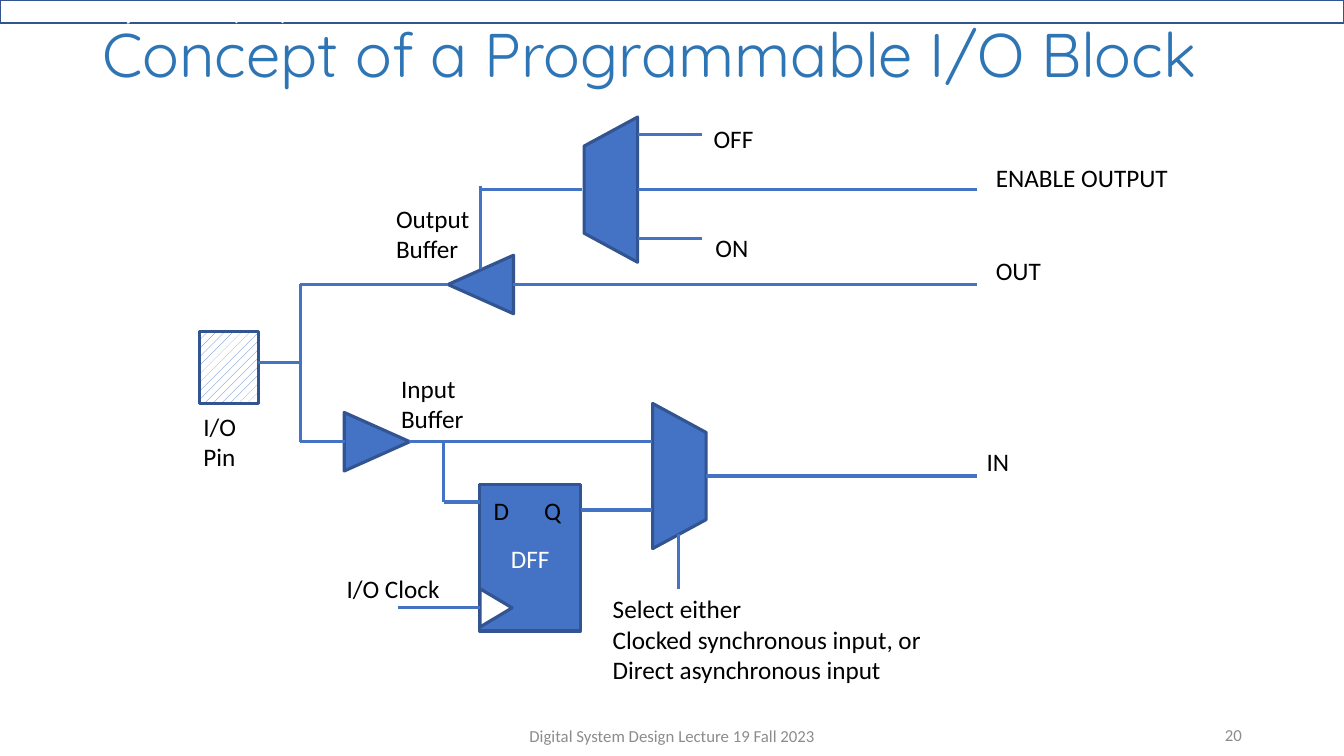
from dataclasses import dataclass

from lxml.etree import SubElement
from pptx import Presentation
from pptx.dml.color import RGBColor
from pptx.enum.dml import MSO_PATTERN
from pptx.enum.shapes import MSO_CONNECTOR, MSO_SHAPE
from pptx.enum.text import MSO_ANCHOR, MSO_AUTO_SIZE, PP_ALIGN
from pptx.oxml.ns import qn
from pptx.util import Pt


@dataclass(frozen=True)
class Theme:
    blue: RGBColor = RGBColor(0x44, 0x72, 0xC4)
    edge: RGBColor = RGBColor(0x32, 0x54, 0x91)
    title: RGBColor = RGBColor(0x2E, 0x75, 0xB6)
    white: RGBColor = RGBColor(0xFF, 0xFF, 0xFF)
    black: RGBColor = RGBColor(0, 0, 0)
    grey: RGBColor = RGBColor(0x8C, 0x8C, 0x8C)
    body_font: str = "Calibri"
    title_font: str = "Quicksand"
    title_size: int = 44
    label_size: int = 18
    header_size: int = 16
    footer_size: int = 12
    wire: float = 2.25


theme = Theme()
prs = Presentation()
prs.slide_width, prs.slide_height = Pt(960), Pt(540)
slide = prs.slides.add_slide(prs.slide_layouts[5])
shapes = slide.shapes


def add_block(kind, cx, cy, w, h, rotation=0, fill=theme.blue):
    """Add an outlined shape centred on (cx, cy), sized before rotation."""
    sp = shapes.add_shape(kind, Pt(cx - w / 2), Pt(cy - h / 2), Pt(w), Pt(h))
    sp.rotation = rotation
    sp.shadow.inherit = False
    sp.fill.solid()
    sp.fill.fore_color.rgb = fill
    sp.line.color.rgb = theme.edge
    sp.line.width = Pt(theme.wire)
    return sp


def write(tf, text, size, color, align=PP_ALIGN.LEFT, font=theme.body_font):
    tf.text = text
    for p in tf.paragraphs:
        p.alignment = align
        p.font.size = Pt(size)
        p.font.name = font
        p.font.color.rgb = color


# Title
title = shapes.title
title.left, title.top, title.width, title.height = Pt(66), Pt(10), Pt(828), Pt(62.6)
tf = title.text_frame
tf.auto_size = MSO_AUTO_SIZE.NONE
tf.vertical_anchor = MSO_ANCHOR.MIDDLE
write(tf, "Concept of a Programmable I/O Block", theme.title_size, theme.title,
      font=theme.title_font)
tf.paragraphs[0].line_spacing = 0.9

# Header band
header = add_block(MSO_SHAPE.RECTANGLE, 480, 8.3, 960, 16.6)
header.line.width = Pt(1)
header.fill.gradient()
header.fill.gradient_angle = 270
stops = header._element.spPr.find(qn("a:gradFill")).find(qn("a:gsLst"))
stops.clear()
for position, color, alpha in [(2, "ABC0E4", 100), (38, "002060", 100), (93, "7E9ED6", 64)]:
    gs = SubElement(stops, qn("a:gs"), pos=str(position * 1000))
    rgb = SubElement(gs, qn("a:srgbClr"), val=color)
    if alpha < 100:
        SubElement(rgb, qn("a:alpha"), val=str(alpha * 1000))
header.text_frame.vertical_anchor = MSO_ANCHOR.MIDDLE
write(header.text_frame, "Embedded Systems Lab (EESL)", theme.header_size, theme.white)
header.text_frame.paragraphs[0].font.bold = True

# Blocks
enable_y, out_y, in_y, select_y, clock_y = 135.5, 203.2, 315.5, 340, 434.2
for cx, cy, rotation in [(343.4, out_y, 270), (269.3, in_y, 90)]:
    add_block(MSO_SHAPE.ISOSCELES_TRIANGLE, cx, cy, 41.8, 46.8, rotation)
for cx, cy, rotation in [(485.3, select_y, 270), (436.3, enable_y, 90)]:
    add_block(MSO_SHAPE.FLOWCHART_MANUAL_OPERATION, cx, cy, 103.7, 38.2, rotation)

dff = add_block(MSO_SHAPE.RECTANGLE, 378.7, 398.5, 72, 104.4)
dff.text_frame.vertical_anchor = MSO_ANCHOR.MIDDLE
write(dff.text_frame, "DFF", theme.label_size, theme.white, PP_ALIGN.CENTER)
add_block(MSO_SHAPE.ISOSCELES_TRIANGLE, 354.3, clock_y, 27.4, 23, 90, theme.white)

pad = add_block(MSO_SHAPE.RECTANGLE, 163.5, 262.4, 41.8, 51.1)
pad.fill.patterned()
pad.fill.pattern = MSO_PATTERN.PERCENT_20
pad.fill.fore_color.rgb = theme.blue
pad.fill.back_color.rgb = theme.white

# Wires
bus_x, tap_x, gate_x, port_x = 214.6, 316.8, 343.1, 697.7
wires = [
    (292.3, in_y, 465.8, in_y),
    (tap_x, in_y, tap_x, 358.6),
    (tap_x, 358.6, gate_x, 358.6),
    (414.7, 364.3, 465.8, 364.3),
    (gate_x, 192.2, gate_x, 133.2),
    (gate_x, enable_y, 415.4, enable_y),
    (455.4, 96.2, 501.8, 96.2),
    (455.4, 170.4, 501.8, 170.4),
    (455.4, enable_y, port_x, enable_y),
    (504, select_y, port_x, select_y),
    (366.5, out_y, port_x, out_y),
    (319.7, out_y, bus_x, out_y),
    (bus_x, out_y, bus_x, in_y),
    (bus_x, in_y, 246.2, in_y),
    (bus_x, 259, 184.3, 259),
    (gate_x, clock_y, 284.4, clock_y),
    (484.6, 381.6, 484.6, 420.5),
]
for x1, y1, x2, y2 in wires:
    wire = shapes.add_connector(MSO_CONNECTOR.STRAIGHT, Pt(x1), Pt(y1), Pt(x2), Pt(y2))
    wire.line.color.rgb = theme.blue
    wire.line.width = Pt(theme.wire)
    SubElement(wire._element.spPr, qn("a:effectLst"))

# Labels
line_height, inset = 21.8, 7.2
labels = [
    ("OUT", 704.2, 178.6, 46.8),
    ("IN", 697.7, 315.4, 31),
    ("ENABLE OUTPUT", 704.2, 112.3, 138.2),
    ("OFF", 502.6, 84.2, 43.2),
    ("ON", 504, 162.7, 38.2),
    ("Output\nBuffer", 275.8, 141.8, 67.7),
    ("Input\nBuffer", 279.4, 262.8, 59.8),
    ("I/O\nPin", 138.2, 290.2, 38.2),
    ("I/O Clock", 240.5, 406.1, 81.4),
    ("D\tQ", 345.6, 349.9, 67),
    ("Select either\nClocked synchronous input, or\nDirect asynchronous input",
     430.6, 420.5, 237.6),
]
for text, x, y, w in labels:
    h = line_height * (text.count("\n") + 1) + inset
    tf = shapes.add_textbox(Pt(x), Pt(y), Pt(w), Pt(h)).text_frame
    tf.word_wrap = False
    tf.auto_size = MSO_AUTO_SIZE.SHAPE_TO_FIT_TEXT
    tf.text = text
    if "\t" in text:
        tabs = SubElement(tf.paragraphs[0]._p.get_or_add_pPr(), qn("a:tabLst"))
        SubElement(tabs, qn("a:tab"), pos=str(Pt(39.4)), algn="l")
    write(tf, text, theme.label_size, theme.black)

# Footer
for text, x, y, w, align in [
    ("20", 678.2, 510.5, 216, PP_ALIGN.RIGHT),
    ("Digital System Design Lecture 19 Fall 2023", 318.2, 511.2, 324, PP_ALIGN.CENTER),
]:
    tf = shapes.add_textbox(Pt(x), Pt(y), Pt(w), Pt(28.8)).text_frame
    tf.word_wrap = True
    tf.vertical_anchor = MSO_ANCHOR.MIDDLE
    write(tf, text, theme.footer_size, theme.grey, align)

prs.save("out.pptx")
